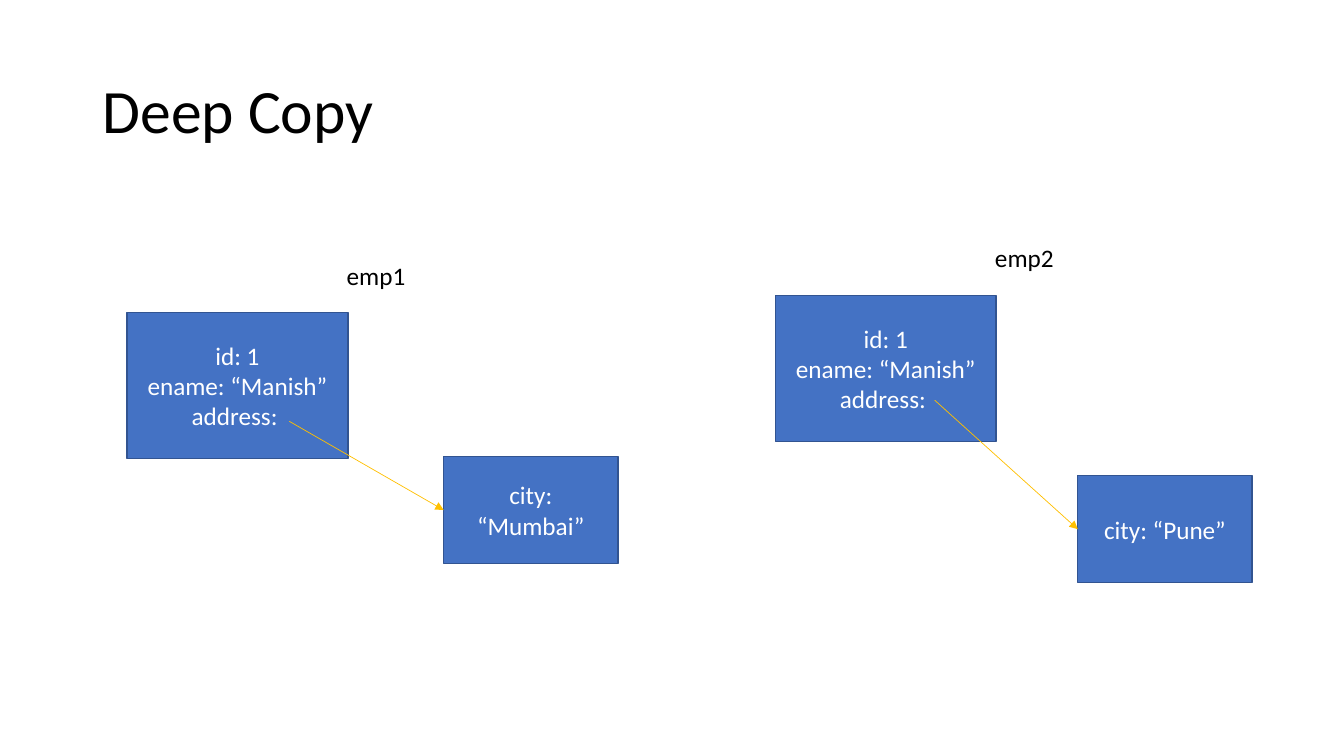
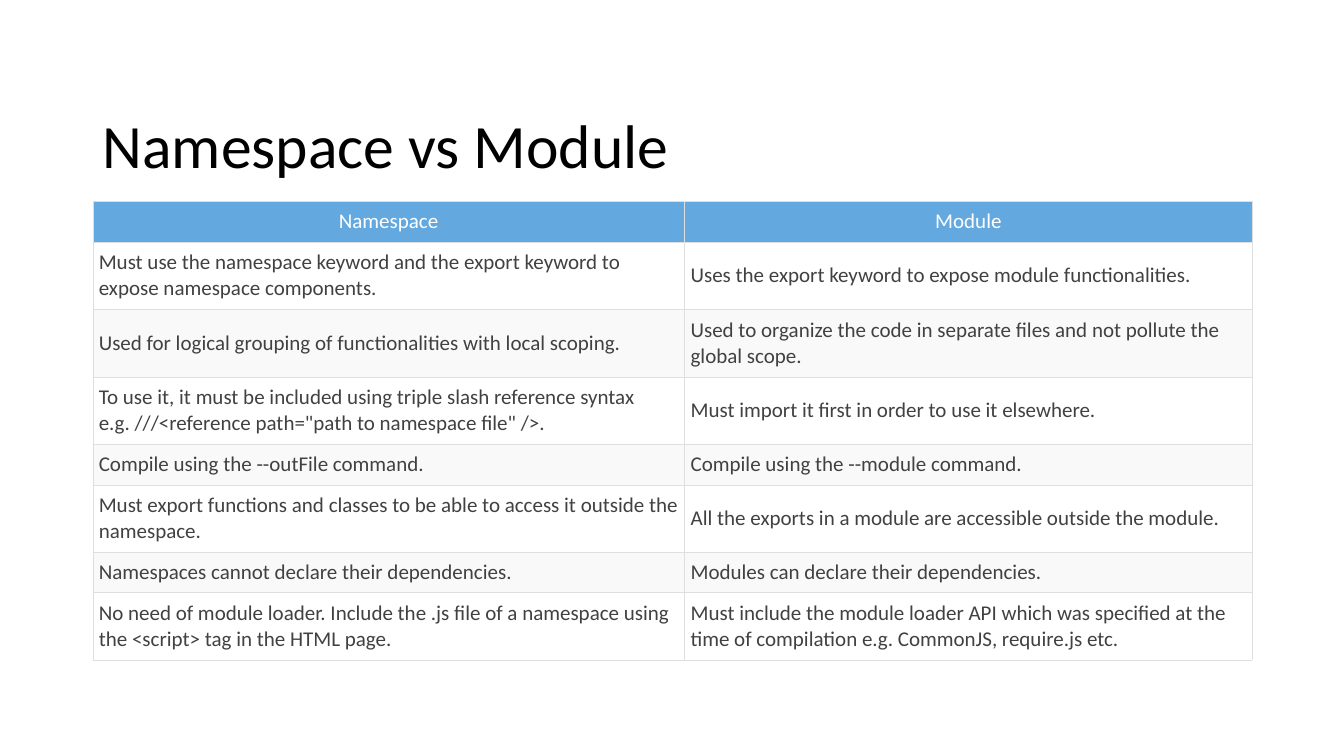
"""Build two slides: a deep copy diagram and a namespace and module comparison."""
from lxml import etree
from pptx import Presentation
from pptx.dml.color import RGBColor
from pptx.enum.shapes import MSO_CONNECTOR, MSO_SHAPE
from pptx.enum.text import MSO_ANCHOR, PP_ALIGN
from pptx.oxml.ns import qn
from pptx.util import Inches, Pt

TOP, MIDDLE, BOTTOM = MSO_ANCHOR.TOP, MSO_ANCHOR.MIDDLE, MSO_ANCHOR.BOTTOM
LEFT, CENTER = PP_ALIGN.LEFT, PP_ALIGN.CENTER
RECTANGLE = MSO_SHAPE.RECTANGLE
STRAIGHT = MSO_CONNECTOR.STRAIGHT

FONT = "Calibri"
BLACK = RGBColor(0x00, 0x00, 0x00)
WHITE = RGBColor(0xFF, 0xFF, 0xFF)
BOX_FILL = RGBColor(0x44, 0x72, 0xC4)
BOX_LINE = RGBColor(0x32, 0x54, 0x91)
ARROW = RGBColor(0xFF, 0xC0, 0x00)
HEADER_FILL = RGBColor(0x63, 0xA9, 0xE0)
BAND_FILL = RGBColor(0xF9, 0xF9, 0xF9)
CELL_TEXT = RGBColor(0x41, 0x41, 0x41)
CELL_BORDER = RGBColor(0xDF, 0xDF, 0xDF)

TITLE_AREA = (0.92, 0.4, 11.5, 1.45)
RECORD_SIZE = (2.19, 1.45)
ADDRESS_SIZE = (1.73, 1.06)
LABEL_SIZE = (0.79, 0.4)
LABEL_OFFSET = (2.08, -0.57)
RECORD_LINES = ["id: 1", "ename: “Manish”", "address: "]
EMPLOYEES = [
    {"label": "emp1", "record": (1.26, 3.1), "city": "city: “Mumbai”",
     "address": (4.4, 4.53), "arrow_start": (2.87, 4.18)},
    {"label": "emp2", "record": (7.69, 2.93), "city": "city: “Pune”",
     "address": (10.69, 4.72), "arrow_start": (9.27, 3.97)},
]

TABLE_ORIGIN = (0.92, 2)
COLUMN_WIDTHS = (5.87, 5.63)
ONE_LINE, TWO_LINES = 0.4, 0.67
COMPARISON = [
    (ONE_LINE, "Namespace", "Module"),
    (TWO_LINES, "Must use the namespace keyword and the export keyword to expose namespace components.",
     "Uses the export keyword to expose module functionalities."),
    (TWO_LINES, "Used for logical grouping of functionalities with local scoping.",
     "Used to organize the code in separate files and not pollute the global scope."),
    (TWO_LINES, "To use it, it must be included using triple slash reference syntax "
     "e.g. ///<reference path=\"path to namespace file\" />.",
     "Must import it first in order to use it elsewhere."),
    (ONE_LINE, "Compile using the --outFile command.", "Compile using the --module command."),
    (TWO_LINES, "Must export functions and classes to be able to access it outside the namespace.",
     "All the exports in a module are accessible outside the module."),
    (ONE_LINE, "Namespaces cannot declare their dependencies.",
     "Modules can declare their dependencies."),
    (TWO_LINES, "No need of module loader. Include the .js file of a namespace using "
     "the <script> tag in the HTML page.",
     "Must include the module loader API which was specified at the time of compilation "
     "e.g. CommonJS, require.js etc."),
]


def write_text(frame, lines, *, size=18, color=BLACK, align=LEFT, anchor=TOP, wrap=True, spacing=None):
    frame.word_wrap = wrap
    frame.vertical_anchor = anchor
    for index, line in enumerate(lines):
        paragraph = frame.paragraphs[0] if index == 0 else frame.add_paragraph()
        paragraph.alignment = align
        paragraph.line_spacing = spacing
        run = paragraph.add_run()
        run.text = line
        run.font.name = FONT
        run.font.size = Pt(size)
        run.font.color.rgb = color


def add_text(slide, area, text, **text_format):
    box = slide.shapes.add_textbox(*map(Inches, area))
    write_text(box.text_frame, [text], **text_format)


def add_titled_slide(presentation, title, anchor):
    slide = presentation.slides.add_slide(presentation.slide_layouts[6])
    add_text(slide, TITLE_AREA, title, size=44, anchor=anchor, spacing=0.9)
    return slide


def add_box(slide, origin, size, lines):
    shape = slide.shapes.add_shape(RECTANGLE, *map(Inches, origin + size))
    shape.shadow.inherit = False
    shape.fill.solid()
    shape.fill.fore_color.rgb = BOX_FILL
    shape.line.color.rgb = BOX_LINE
    shape.line.width = Pt(1)
    write_text(shape.text_frame, lines, color=WHITE, align=CENTER, anchor=MIDDLE)


def add_arrow(slide, start, end):
    connector = slide.shapes.add_connector(STRAIGHT, *map(Inches, start + end))
    connector.line.color.rgb = ARROW
    connector.line.width = Pt(0.5)
    properties = connector._element.spPr
    etree.SubElement(properties.find(qn("a:ln")), qn("a:tailEnd"), type="triangle")
    etree.SubElement(properties, qn("a:effectLst"))


def add_employee(slide, employee):
    left, top = employee["record"]
    add_box(slide, employee["record"], RECORD_SIZE, RECORD_LINES)
    label_origin = (left + LABEL_OFFSET[0], top + LABEL_OFFSET[1])
    add_text(slide, label_origin + LABEL_SIZE, employee["label"], wrap=False)
    address_left, address_top = employee["address"]
    add_box(slide, employee["address"], ADDRESS_SIZE, [employee["city"]])
    add_arrow(slide, employee["arrow_start"], (address_left, address_top + ADDRESS_SIZE[1] / 2))


def style_cell(cell, fill):
    cell.margin_left = cell.margin_right = Inches(0.06)
    cell.margin_top = cell.margin_bottom = Inches(0.03)
    cell.vertical_anchor = MIDDLE
    properties = cell._tc.get_or_add_tcPr()
    for side in ("a:lnL", "a:lnR", "a:lnT", "a:lnB"):
        border = etree.SubElement(properties, qn(side), w=str(Pt(0.38)))
        solid = etree.SubElement(border, qn("a:solidFill"))
        etree.SubElement(solid, qn("a:srgbClr"), val=str(CELL_BORDER))
    cell.fill.solid()
    cell.fill.fore_color.rgb = fill


def add_comparison(slide):
    size = (sum(COLUMN_WIDTHS), sum(row[0] for row in COMPARISON))
    table = slide.shapes.add_table(
        len(COMPARISON), len(COLUMN_WIDTHS), *map(Inches, TABLE_ORIGIN + size)).table
    for column, width in zip(table.columns, COLUMN_WIDTHS):
        column.width = Inches(width)
    for row_index, (height, *texts) in enumerate(COMPARISON):
        table.rows[row_index].height = Inches(height)
        header = row_index == 0
        fill = HEADER_FILL if header else WHITE if row_index % 2 else BAND_FILL
        for column_index, text in enumerate(texts):
            cell = table.cell(row_index, column_index)
            write_text(cell.text_frame, [text], size=15, color=WHITE if header else CELL_TEXT,
                       align=CENTER if header else LEFT, anchor=MIDDLE)
            style_cell(cell, fill)


def main():
    presentation = Presentation()
    presentation.slide_width = Inches(13.33)
    presentation.slide_height = Inches(7.5)
    diagram = add_titled_slide(presentation, "Deep Copy", MIDDLE)
    for employee in EMPLOYEES:
        add_employee(diagram, employee)
    add_comparison(add_titled_slide(presentation, "Namespace vs Module", BOTTOM))
    presentation.save("out.pptx")


if __name__ == "__main__":
    main()
